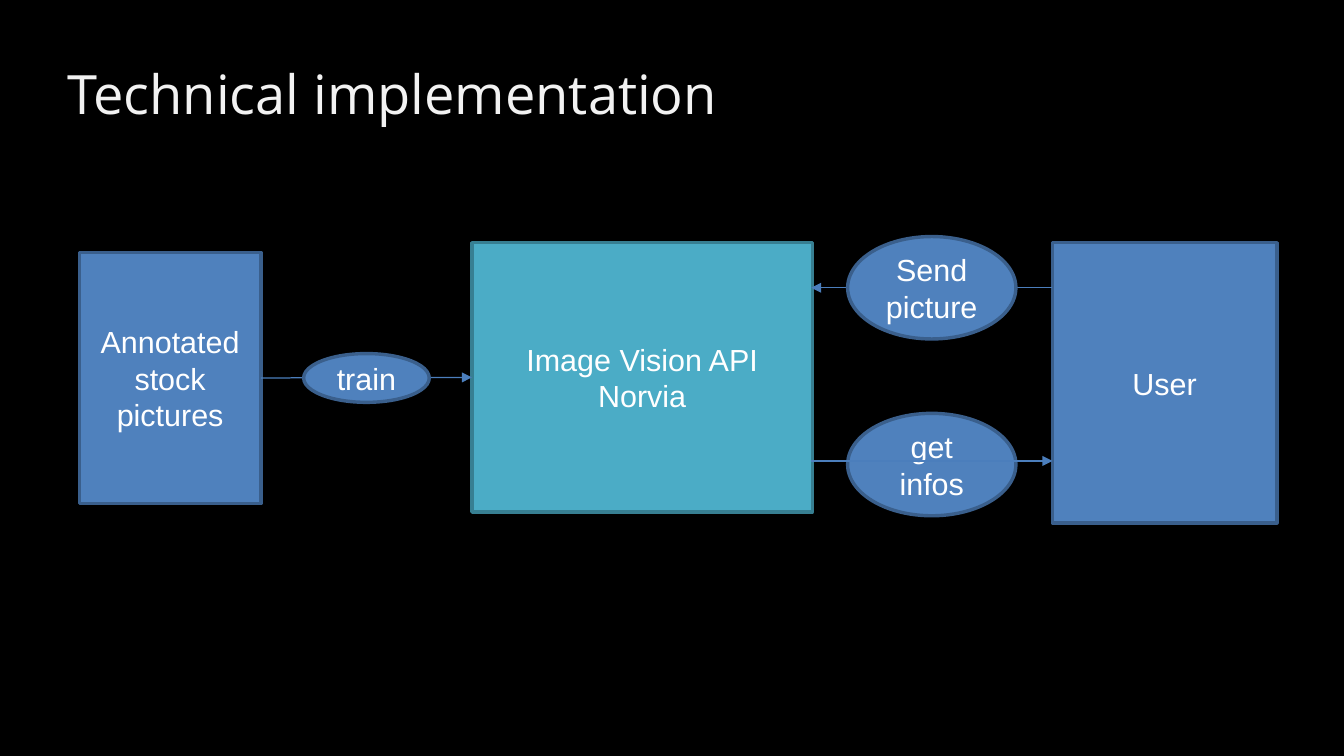
from lxml.etree import SubElement
from pptx import Presentation
from pptx.dml.color import RGBColor
from pptx.enum.shapes import MSO_CONNECTOR as Connector, MSO_SHAPE as Shape
from pptx.enum.text import MSO_ANCHOR as Anchor, PP_ALIGN as Align
from pptx.oxml.ns import qn
from pptx.util import Inches, Pt

COLORS = {
    "background": "000000",
    "title": "F2F2F2",
    "text": "FFFFFF",
    "blue": "4F81BD",
    "blue_edge": "3A5F8C",
    "teal": "4BACC6",
    "teal_edge": "377F92",
    "arrow": "4B7EBC",
}
TITLE_ONLY = 5
LEFT_SIDE, RIGHT_SIDE = 1, 3


def color(name):
    return RGBColor.from_string(COLORS[name])


def write(frame, text, *, size=18, font="Arial", ink="text", align=Align.CENTER):
    """Fill the frame's first paragraph; a vertical tab in the text breaks the line."""
    frame.word_wrap = True
    frame.vertical_anchor = Anchor.MIDDLE
    para = frame.paragraphs[0]
    para.text = text
    para.alignment = align
    for span in para.runs:
        span.font.size = Pt(size)
        span.font.name = font
        span.font.color.rgb = color(ink)


class DiagramSlide:
    def __init__(self, deck):
        self.page = deck.slides.add_slide(deck.slide_layouts[TITLE_ONLY])
        fill = self.page.background.fill
        fill.solid()
        fill.fore_color.rgb = color("background")

    def title(self, text, left, top, width, height):
        box = self.page.shapes.title
        box.left, box.top = Inches(left), Inches(top)
        box.width, box.height = Inches(width), Inches(height)
        frame = box.text_frame
        frame.margin_left = frame.margin_right = 0
        frame.margin_top = frame.margin_bottom = 0
        write(frame, text, size=32, font="Open Sans", ink="title", align=Align.LEFT)

    def node(self, text, left, top, width, height, kind=Shape.RECTANGLE, tone="blue"):
        box = self.page.shapes.add_shape(
            kind, Inches(left), Inches(top), Inches(width), Inches(height))
        box.shadow.inherit = False
        box.fill.solid()
        box.fill.fore_color.rgb = color(tone)
        box.line.color.rgb = color(f"{tone}_edge")
        box.line.width = Pt(2)
        write(box.text_frame, text)
        return box

    def arrow(self, start, end, y):
        line = self.page.shapes.add_connector(
            Connector.STRAIGHT, Inches(start), Inches(y), Inches(end), Inches(y))
        line.line.color.rgb = color("arrow")
        line.line.width = Pt(0.75)
        SubElement(line.line._get_or_add_ln(), qn("a:tailEnd"), type="triangle")
        SubElement(line._element.spPr, qn("a:effectLst"))
        return line


def main():
    deck = Presentation()
    deck.slide_width, deck.slide_height = Inches(11.02), Inches(6.2)
    slide = DiagramSlide(deck)
    slide.title("Technical implementation", 0.55, 0.25, 9.92, 1.03)

    service = slide.node("Image Vision API\vNorvia", 3.87, 1.99, 2.79, 2.21, tone="teal")
    stock = slide.node("Annotated stock pictures", 0.65, 2.07, 1.49, 2.06)
    training = slide.arrow(2.14, 3.87, 3.1)
    training.begin_connect(stock, RIGHT_SIDE)
    training.end_connect(service, LEFT_SIDE)
    slide.node("train", 2.49, 2.9, 1.03, 0.4, Shape.OVAL)

    slide.node("User", 8.63, 1.99, 1.84, 2.3)
    slide.arrow(8.63, 6.65, 2.36)
    for label, top in (("Send picture", 1.94), ("get infos", 3.39)):
        slide.node(label, 6.95, top, 1.38, 0.84, Shape.OVAL)
    slide.arrow(6.65, 8.63, 3.78)

    deck.save("out.pptx")


if __name__ == "__main__":
    main()
